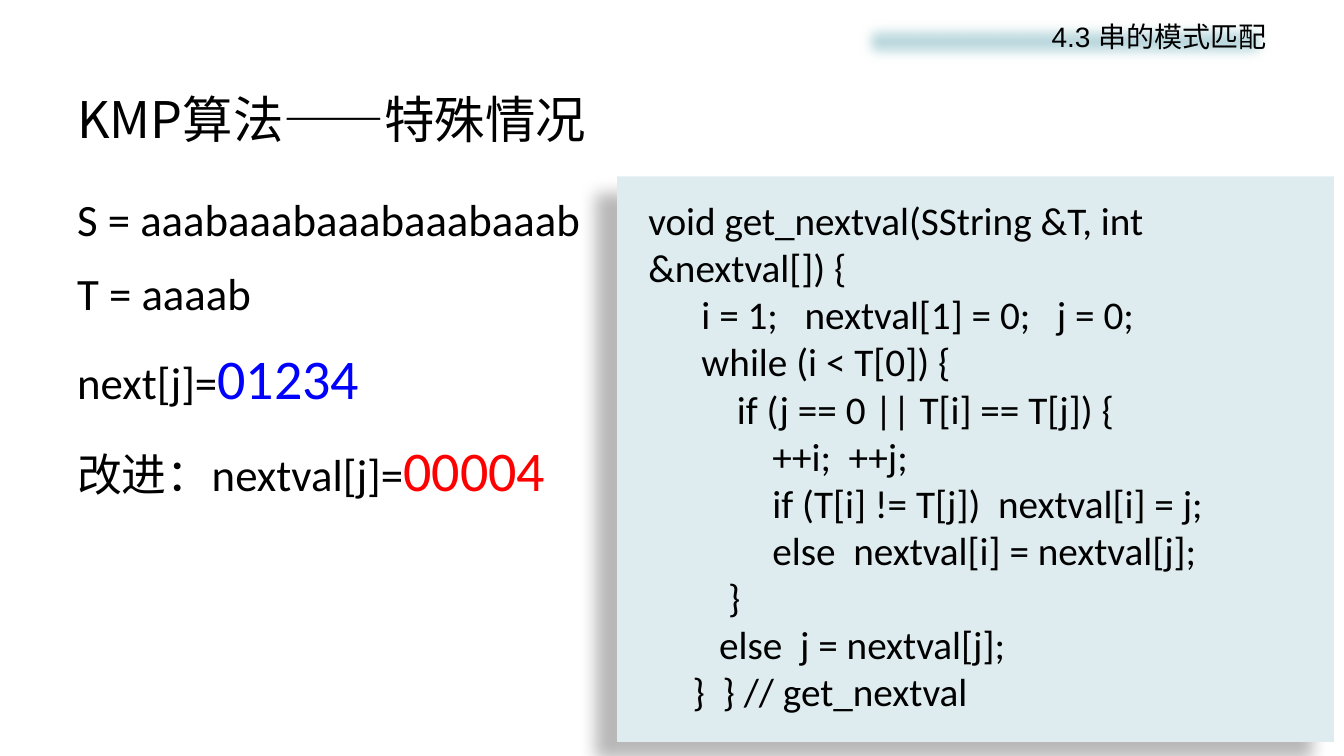
from lxml import etree
from pptx import Presentation
from pptx.dml.color import RGBColor
from pptx.enum.shapes import MSO_SHAPE
from pptx.enum.text import MSO_ANCHOR, PP_ALIGN
from pptx.oxml import parse_xml
from pptx.oxml.ns import nsdecls, qn
from pptx.util import Inches, Pt

WIDTH, HEIGHT = 13.33, 7.5
COLORS = {"text": "000000", "next": "0000FF", "nextval": "FF0000",
          "bar": "BDDADF", "panel": "DEECEF"}
CJK_FONT = "Noto Sans CJK SC"

TITLE = "KMP算法——特殊情况"
SECTION = "4.3 串的模式匹配"
# Each line is a list of (text, size, color) runs.
EXAMPLE = [
    [("S = aaabaaabaaabaaabaaab", 32, "text")],
    [("T = aaaab", 32, "text")],
    [("next[j]=", 32, "text"), ("01234", 40, "next")],
    [("改进：nextval[j]=", 32, "text"), ("00004", 40, "nextval")],
]
# Each code line is (indent in columns, text).
CODE = [
    (0, "void get_nextval(SString &T, int &nextval[]) {"),
    (6, "i = 1;   nextval[1] = 0;   j = 0;"),
    (6, "while (i < T[0]) {"),
    (10, "if (j == 0 || T[i] == T[j]) {"),
    (14, "++i;  ++j;"),
    (14, "if (T[i] != T[j])  nextval[i] = j;"),
    (14, "else  nextval[i] = nextval[j];"),
    (9, "}"),
    (8, "else  j = nextval[j];"),
    (5, "}  } // get_nextval"),
]
CODE_SIZE = 28
CODE_COLUMN = Pt(CODE_SIZE * 0.226)

MARGIN = WIDTH * 0.05
CONTENT_TOP = 1.75
TITLE_BOX = (MARGIN, 0.8, WIDTH - 2 * MARGIN, 0.75)
EXAMPLE_BOX = (MARGIN, CONTENT_TOP, 5.61, 4.95)
BAR_BOX = (WIDTH - MARGIN - 4.2, 0.14, 4.2, 0.54)
PANEL_BOX = (6.12, CONTENT_TOP, 7.11, 5.61)

SOFT_EDGE = '<a:softEdge rad="127000"/>'
PANEL_SHADOW = (
    f'<a:outerShdw blurRad="{Pt(11.8)}" dist="{Pt(19.7)}" dir="{141 * 60000}" '
    'algn="ctr" rotWithShape="0"><a:srgbClr val="000000">'
    '<a:alpha val="28000"/></a:srgbClr></a:outerShdw>')


def inches(box):
    return [Inches(length) for length in box]


def add_run(paragraph, text, size, font="Calibri", color="text"):
    run = paragraph.add_run()
    run.text = text
    run.font.size = Pt(size)
    run.font.name = font
    run.font.bold = False
    run.font.color.rgb = RGBColor.from_string(COLORS[color])
    east_asian = etree.SubElement(run.font._element, qn("a:ea"))
    east_asian.set("typeface", CJK_FONT)


def paragraphs_for(frame, lines):
    """Yield each line with its own paragraph of the frame."""
    for index, line in enumerate(lines):
        yield (frame.add_paragraph() if index else frame.paragraphs[0]), line


def add_block(slide, box, color, effect):
    """Add a borderless filled rectangle with one effect; return its text frame."""
    shape = slide.shapes.add_shape(MSO_SHAPE.RECTANGLE, *inches(box))
    shape.fill.solid()
    shape.fill.fore_color.rgb = RGBColor.from_string(COLORS[color])
    shape.line.fill.background()
    shape._element.spPr.append(
        parse_xml(f'<a:effectLst {nsdecls("a")}>{effect}</a:effectLst>'))
    frame = shape.text_frame
    frame.word_wrap = True
    frame.vertical_anchor = MSO_ANCHOR.TOP
    return frame


def add_title(slide):
    title = slide.shapes.title
    title.left, title.top, title.width, title.height = inches(TITLE_BOX)
    title.text_frame.vertical_anchor = MSO_ANCHOR.MIDDLE
    paragraph = title.text_frame.paragraphs[0]
    paragraph.alignment = PP_ALIGN.LEFT
    add_run(paragraph, TITLE, 36, CJK_FONT)


def add_example(slide):
    frame = slide.shapes.add_textbox(*inches(EXAMPLE_BOX)).text_frame
    frame.word_wrap = True
    for paragraph, runs in paragraphs_for(frame, EXAMPLE):
        paragraph.line_spacing = 1.2
        paragraph.space_before = Pt(0.2 * max(size for _, size, _ in runs))
        for text, size, color in runs:
            add_run(paragraph, text, size, color=color)


def add_section(slide):
    paragraph = add_block(slide, BAR_BOX, "bar", SOFT_EDGE).paragraphs[0]
    paragraph.alignment = PP_ALIGN.RIGHT
    add_run(paragraph, SECTION, 20, "Arial")


def add_code(slide):
    frame = add_block(slide, PANEL_BOX, "panel", PANEL_SHADOW)
    frame.margin_left, frame.margin_top = Inches(0.31), Inches(0.2)
    for paragraph, (columns, text) in paragraphs_for(frame, CODE):
        paragraph.alignment = PP_ALIGN.LEFT
        paragraph._p.get_or_add_pPr().set("marL", str(columns * CODE_COLUMN))
        add_run(paragraph, text, CODE_SIZE)


def main():
    presentation = Presentation()
    presentation.slide_width = Inches(WIDTH)
    presentation.slide_height = Inches(HEIGHT)
    slide = presentation.slides.add_slide(presentation.slide_layouts[5])
    add_title(slide)
    add_example(slide)
    add_section(slide)
    add_code(slide)
    presentation.save("out.pptx")


if __name__ == "__main__":
    main()
